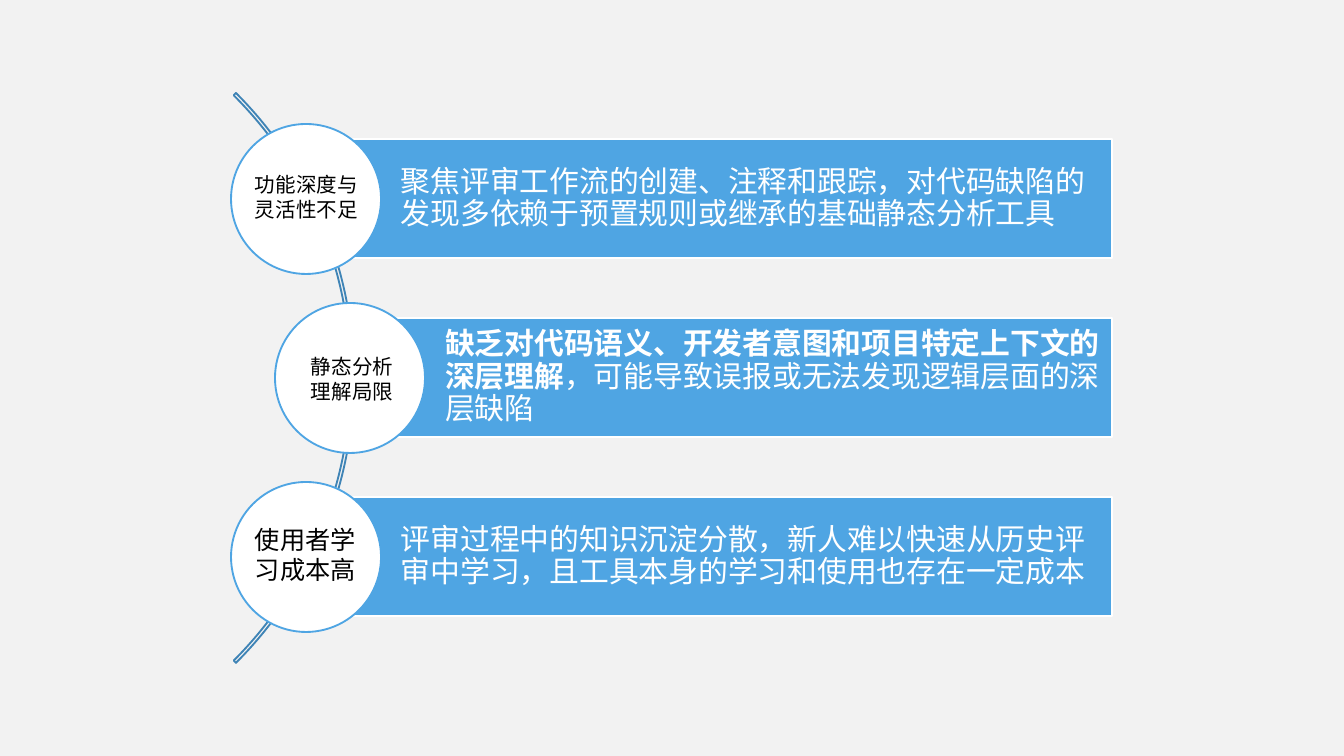
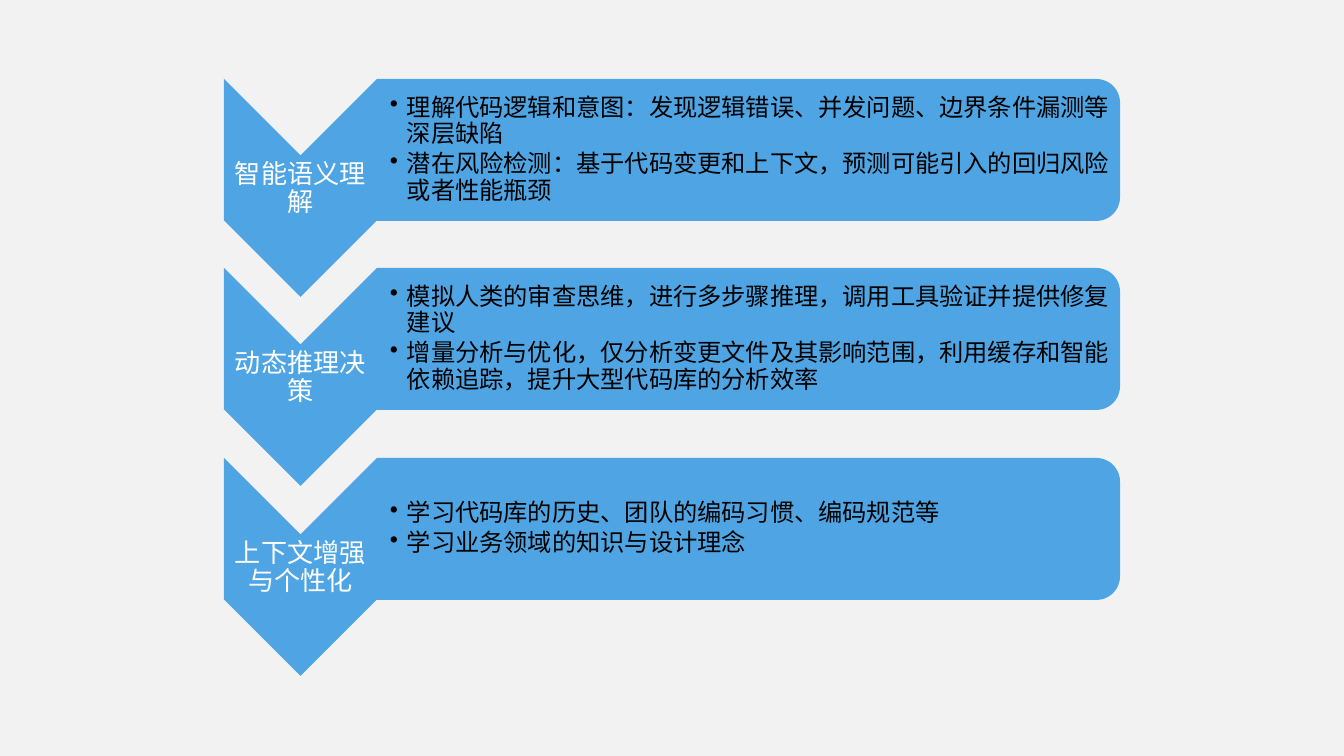
import pptx
import pptx.util
import pptx.dml.color
import pptx.enum.shapes
import pptx.enum.text
import pptx.oxml
import pptx.oxml.ns

SHAPE = pptx.enum.shapes.MSO_SHAPE
ANCHOR = pptx.enum.text.MSO_ANCHOR
ALIGN = pptx.enum.text.PP_ALIGN
SCALE = 914400 / 134.4
BLUE, WHITE, BLACK = "4FA5E3", "FFFFFF", "000000"
GREY, DARK = "F2F2F2", "3F84B6"


def px(n):
    return pptx.util.Emu(round(n * SCALE))


def paint(target, code):
    target.rgb = pptx.dml.color.RGBColor.from_string(code)


class Deck:
    font = "Arial"

    def __init__(self):
        self.prs = pptx.Presentation()
        self.prs.slide_width, self.prs.slide_height = px(1344), px(756)

    def page(self):
        self.slide = self.prs.slides.add_slide(self.prs.slide_layouts[6])
        fill = self.slide.background.fill
        fill.solid()
        paint(fill.fore_color, GREY)

    def shape(self, kind, box, fill=None, line=None, turn=0):
        item = self.slide.shapes.add_shape(kind, *map(px, box))
        item.shadow.inherit = False
        item.rotation = turn
        if fill:
            item.fill.solid()
            paint(item.fill.fore_color, fill)
        else:
            item.fill.background()
        if line:
            paint(item.line.color, line)
            item.line.width = pptx.util.Pt(1)
        else:
            item.line.fill.background()
        return item

    def upright(self, kind, box, fill):
        x, y, w, h = box
        spun = (x + (w - h) / 2, y + (h - w) / 2, h, w)
        return self.shape(kind, spun, fill, turn=90)

    def text(self, box, lines, size, color, **style):
        item = self.slide.shapes.add_textbox(*map(px, box))
        self.label(item.text_frame, lines, size, color, **style)

    def label(self, frame, lines, size, color, lead="", pad=(13, 7, 13, 7),
              anchor=ANCHOR.TOP, align=ALIGN.LEFT, spacing=None, dot=False):
        frame.word_wrap = True
        frame.vertical_anchor = anchor
        (frame.margin_left, frame.margin_top,
         frame.margin_right, frame.margin_bottom) = map(px, pad)
        for i, line in enumerate(lines):
            para = frame.add_paragraph() if i else frame.paragraphs[0]
            para.text = lead or line
            if lead:
                para.add_run().text = line
            para.alignment = align
            if spacing:
                para.line_spacing = spacing
            for run in para.runs:
                run.font.name = self.font
                run.font.size = pptx.util.Pt(size)
                run.font.bold = bool(lead) and run.text == lead
                paint(run.font.color, color)
            if dot:
                self.bullet(para)

    def bullet(self, para):
        para.space_after = pptx.util.Pt(2)
        props = para._p.get_or_add_pPr()
        props.set("marL", str(px(17)))
        props.set("indent", str(px(-17)))
        mark = pptx.oxml.parse_xml(
            "<a:buChar %s char='•'/>" % pptx.oxml.ns.nsdecls("a"))
        props.append(mark)


LIMITS = [
    (306, "", "聚焦评审工作流的创建、注释和跟踪，对代码缺陷的发现多依赖于预置规则或继承的基础静态分析工具"),
    (350, "缺乏对代码语义、开发者意图和项目特定上下文的深层理解",
     "，可能导致误报或无法发现逻辑层面的深层缺陷"),
    (306, "", "评审过程中的知识沉淀分散，新人难以快速从历史评审中学习，且工具本身的学习和使用也存在一定成本"),
]
LABELS = [
    ((242, 165, 134, 103), "功能深度与灵活性不足", 11),
    ((298, 347, 120, 63), "静态分析理解局限", 11),
    ((242, 517, 140, 75), "使用者学习成本高", 13.5),
]
GOALS = [
    ("智能语义理解",
     ["理解代码逻辑和意图：发现逻辑错误、并发问题、边界条件漏测等深层缺陷",
      "潜在风险检测：基于代码变更和上下文，预测可能引入的回归风险或者性能瓶颈"]),
    ("动态推理决策",
     ["模拟人类的审查思维，进行多步骤推理，调用工具验证并提供修复建议",
      "增量分析与优化，仅分析变更文件及其影响范围，利用缓存和智能依赖追踪，提升大型代码库的分析效率"]),
    ("上下文增强与个性化",
     ["学习代码库的历史、团队的编码习惯、编码规范等",
      "学习业务领域的知识与设计理念"]),
]


def limits(deck):
    deck.page()
    arc = deck.shape(SHAPE.BLOCK_ARC, (-452, -25, 806, 806), line=DARK)
    for i, value in enumerate((189, 27, 0.004)):
        arc.adjustments[i] = value
    for i, (x, lead, line) in enumerate(LIMITS):
        mid = 199 + 179 * i
        bar = deck.shape(SHAPE.RECTANGLE, (x, mid - 60, 1112 - x, 119), BLUE, WHITE)
        deck.label(bar.text_frame, [line], 16, WHITE, lead=lead,
                   pad=(95, 5, 5, 5), anchor=ANCHOR.MIDDLE, spacing=0.9)
        deck.shape(SHAPE.OVAL, (x - 75, mid - 75, 150, 150), WHITE, BLUE)
    for box, label, size in LABELS:
        deck.text(box, [label], size, BLACK)


def goals(deck):
    deck.page()
    for i, (label, lines) in enumerate(GOALS):
        top = 79 + 379 * i // 2
        deck.upright(SHAPE.CHEVRON, (224, top, 153, 218), BLUE)
        deck.text((224, top + 77, 153, 66), [label], 14, WHITE, pad=(1, 1, 1, 1),
                  anchor=ANCHOR.MIDDLE, align=ALIGN.CENTER, spacing=0.9)
        deck.upright(SHAPE.ROUND_2_SAME_RECTANGLE, (377, top, 743, 142), BLUE)
        deck.text((377, top + 7, 737, 128), lines, 13, BLACK, pad=(13, 1, 1, 1),
                  anchor=ANCHOR.MIDDLE, spacing=0.9, dot=True)


def main():
    deck = Deck()
    limits(deck)
    goals(deck)
    deck.prs.save("out.pptx")


if __name__ == "__main__":
    main()
